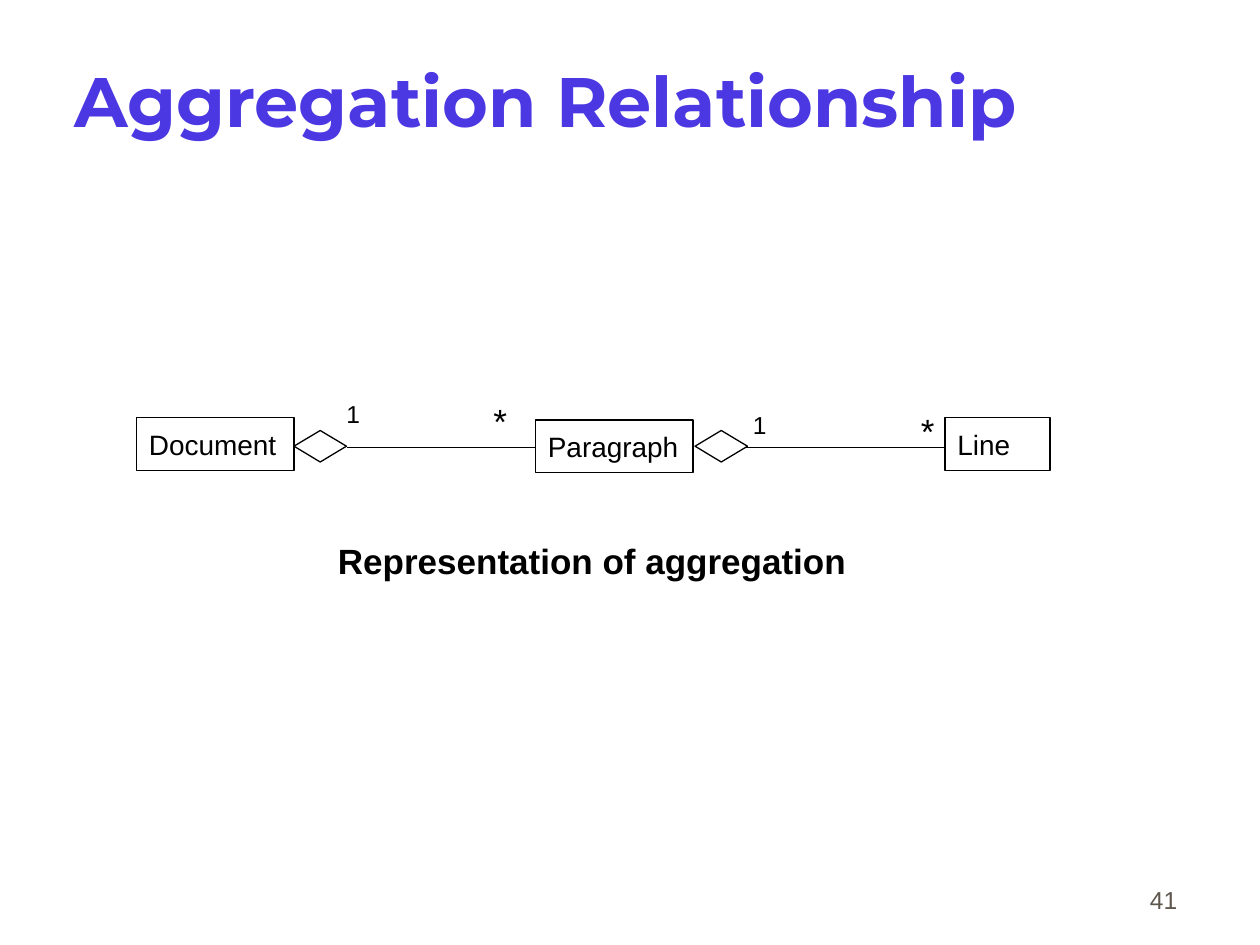
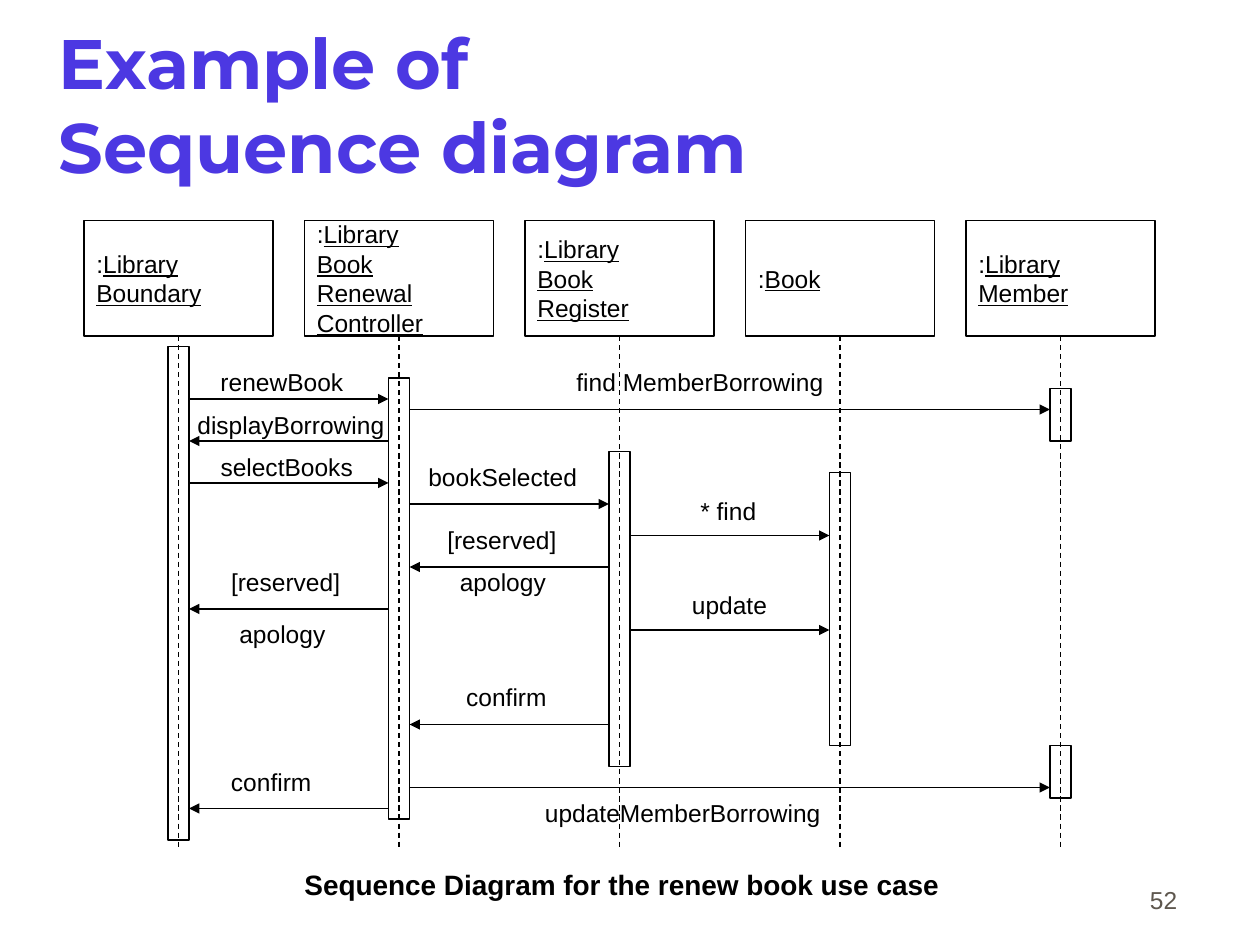
from pptx import Presentation
from pptx import util as u
from pptx.dml.color import RGBColor
from pptx.enum import dml, shapes, text
from pptx.oxml.ns import qn
from lxml import etree

PX = u.Inches(1) // 120
INDIGO = RGBColor(0x4C, 0x38, 0xE2)
BLACK = RGBColor(0, 0, 0)
TAUPE = RGBColor(0x5E, 0x57, 0x4E)
BODY_FONT, TITLE_FONT = "Arial", "Montserrat"
LINE_WIDTH = u.Pt(0.75)
INSETS = (12, 6)

FIRST_CENTRE, LIFELINE_STEP = 170, 210
HEAD_TOP, HEAD_WIDTH, HEAD_HEIGHT = 210, 180, 110
LIFELINE_END = 810
BAR_WIDTH = 20

BOUNDARY, CONTROLLER, REGISTER, BOOK, MEMBER = range(5)
PARTICIPANTS = [
    ":Library\nBoundary",
    ":Library\nBook\nRenewal\nController",
    ":Library\nBook\nRegister",
    ":Book",
    ":Library\nMember",
]
ACTIVATIONS = [
    (BOUNDARY, 330, 470), (CONTROLLER, 360, 420), (REGISTER, 430, 300),
    (BOOK, 450, 260), (MEMBER, 370, 50), (MEMBER, 710, 50),
]
MESSAGES = [
    (BOUNDARY, CONTROLLER, 380), (CONTROLLER, BOUNDARY, 420),
    (BOUNDARY, CONTROLLER, 460), (CONTROLLER, BOUNDARY, 580),
    (CONTROLLER, BOUNDARY, 770), (CONTROLLER, MEMBER, 390),
    (CONTROLLER, REGISTER, 480), (REGISTER, BOOK, 510),
    (REGISTER, CONTROLLER, 540), (REGISTER, BOOK, 600),
    (REGISTER, CONTROLLER, 690), (CONTROLLER, MEMBER, 750),
]
MESSAGE_LABELS = [
    ("renewBook", 210, 350, 120), ("displayBorrowing", 188, 390, 181),
    ("selectBooks", 210, 430, 129), ("[reserved]", 220, 540, 107),
    ("apology", 228, 590, 84), ("confirm", 220, 730, 79),
    ("find MemberBorrowing", 549, 350, 238), ("bookSelected", 408, 440, 144),
    ("* find", 667, 472, 56), ("update", 659, 562, 74),
    ("[reserved]", 426, 500, 107), ("apology", 438, 540, 84),
    ("confirm", 444, 650, 79), ("updateMemberBorrowing", 519, 760, 266),
]


def emu(*lengths):
    """Turn px lengths into EMU."""
    return [length * PX for length in lengths]


def style_text(frame, size, color=BLACK, font=BODY_FONT, bold=False,
               align=text.PP_ALIGN.LEFT):
    """Format every paragraph and run of a text frame alike."""
    for para in frame.paragraphs:
        para.alignment = align
        for span in para.runs:
            span.font.size, span.font.name = u.Pt(size), font
            span.font.color.rgb, span.font.bold = color, bold


def set_insets(frame, across, down):
    """Set the horizontal and vertical insets of a text frame."""
    frame.margin_left = frame.margin_right = across * PX
    frame.margin_top = frame.margin_bottom = down * PX


def add_label(page, words, left, top, width, height=28, size=14, bold=False,
              insets=(0, 0)):
    """Add a one-line label whose box grows with its text."""
    box = page.shapes.add_textbox(*emu(left, top, width, height))
    frame = box.text_frame
    frame.text = words
    frame.word_wrap = False
    frame.auto_size = text.MSO_AUTO_SIZE.SHAPE_TO_FIT_TEXT
    set_insets(frame, *insets)
    style_text(frame, size, bold=bold)


def add_outline(page, left, top, width, height,
                kind=shapes.MSO_SHAPE.RECTANGLE):
    """Add an unfilled shape with a thin black outline."""
    shape = page.shapes.add_shape(kind, *emu(left, top, width, height))
    shape.shadow.inherit = False
    shape.fill.background()
    shape.line.color.rgb, shape.line.width = BLACK, LINE_WIDTH
    return shape


def add_named_box(page, words, left, top, width, height, size):
    """Add an outlined box with left-aligned text."""
    box = add_outline(page, left, top, width, height)
    frame = box.text_frame
    frame.text = words
    frame.word_wrap = False
    frame.vertical_anchor = text.MSO_ANCHOR.MIDDLE
    set_insets(frame, *INSETS)
    style_text(frame, size)
    return box


def add_line(page, x1, y1, x2, y2, dashed=False, arrow=False):
    """Add a thin line, dashed or with an arrowhead if asked."""
    line = page.shapes.add_connector(
        shapes.MSO_CONNECTOR.STRAIGHT, *emu(x1, y1, x2, y2))
    line.line.color.rgb, line.line.width = BLACK, LINE_WIDTH
    if dashed:
        line.line.dash_style = dml.MSO_LINE.DASH
    if arrow:
        outline = line.line._get_or_add_ln()
        etree.SubElement(outline, qn("a:tailEnd"), type="triangle")
    etree.SubElement(line._element.spPr, qn("a:effectLst"))


def add_page(deck, title, left, top, width, number):
    """Add a slide with the shared title style and page number."""
    page = deck.slides.add_slide(deck.slide_layouts[5])
    heading = page.shapes.title
    heading.left, heading.top, heading.width, heading.height = emu(
        left, top, width, 150)
    frame = heading.text_frame
    frame.text = title
    frame.word_wrap = True
    frame.auto_size = text.MSO_AUTO_SIZE.NONE
    frame.vertical_anchor = text.MSO_ANCHOR.MIDDLE
    set_insets(frame, 2, 6)
    style_text(frame, 40, INDIGO, TITLE_FONT, bold=True)
    frame.paragraphs[0].space_before = u.Pt(13.6)

    footer = page.shapes.add_textbox(*emu(883, 817, 250, 60)).text_frame
    footer.text = str(number)
    footer.word_wrap = True
    footer.vertical_anchor = text.MSO_ANCHOR.BOTTOM
    set_insets(footer, *INSETS)
    style_text(footer, 14, TAUPE, align=text.PP_ALIGN.RIGHT)
    return page


def centre(participant):
    """Return the x of a participant's lifeline."""
    return FIRST_CENTRE + participant * LIFELINE_STEP


def add_participant(page, index, name):
    """Add a participant's box, with its name underlined after the colon."""
    box = add_named_box(page, name, centre(index) - HEAD_WIDTH // 2, HEAD_TOP,
                        HEAD_WIDTH, HEAD_HEIGHT, 14)
    frame = box.text_frame
    first = frame.paragraphs[0]
    first.runs[0].text = ":"
    first.add_run().text = name.split("\n")[0][1:]
    style_text(frame, 14)
    for para in frame.paragraphs:
        para.runs[-1].font.underline = True


def add_message(page, sender, receiver, y):
    """Add an arrow between the activation bars of two participants."""
    reach = BAR_WIDTH // 2 if sender < receiver else -BAR_WIDTH // 2
    add_line(page, centre(sender) + reach, y, centre(receiver) - reach, y,
             arrow=True)


def build_aggregation(deck):
    """Build the aggregation slide."""
    page = add_page(deck, " Aggregation Relationship", 50, 20, 1040, 41)
    add_label(page, "Representation of aggregation", 310, 508, 508, 53,
              size=20, bold=True, insets=INSETS)
    for name, left, top, width in [("Document", 130, 398, 150),
                                   ("Paragraph", 510, 400, 150),
                                   ("Line", 900, 398, 100)]:
        add_named_box(page, name, left, top, width, 50, 16)
    for diamond, start, end in [(280, 330, 510), (662, 710, 900)]:
        add_outline(page, diamond, 410, 50, 30,
                    shapes.MSO_SHAPE.FLOWCHART_DECISION)
        add_line(page, start, 426, end, 426)
    for one, many, top in [(330, 470, 380), (717, 877, 390)]:
        add_label(page, "1", one, top, 13)
        add_label(page, "*", many, top, 13, 40, size=20)


def build_sequence(deck):
    """Build the sequence diagram slide."""
    page = add_page(deck, "Example of\vSequence diagram", 54, 24, 1020, 52)
    for index, name in enumerate(PARTICIPANTS):
        add_participant(page, index, name)
        add_line(page, centre(index), HEAD_TOP + HEAD_HEIGHT,
                 centre(index), LIFELINE_END, dashed=True)
    for participant, top, height in ACTIVATIONS:
        add_outline(page, centre(participant) - BAR_WIDTH // 2, top,
                    BAR_WIDTH, height)
    for message in MESSAGES:
        add_message(page, *message)
    for label in MESSAGE_LABELS:
        add_label(page, *label)
    add_label(page, "Sequence Diagram for the renew book use case",
              290, 826, 607, 32, size=16, bold=True)


def main():
    """Build and save the deck."""
    deck = Presentation()
    deck.slide_width, deck.slide_height = emu(1200, 900)
    build_aggregation(deck)
    build_sequence(deck)
    deck.save("out.pptx")


if __name__ == "__main__":
    main()
